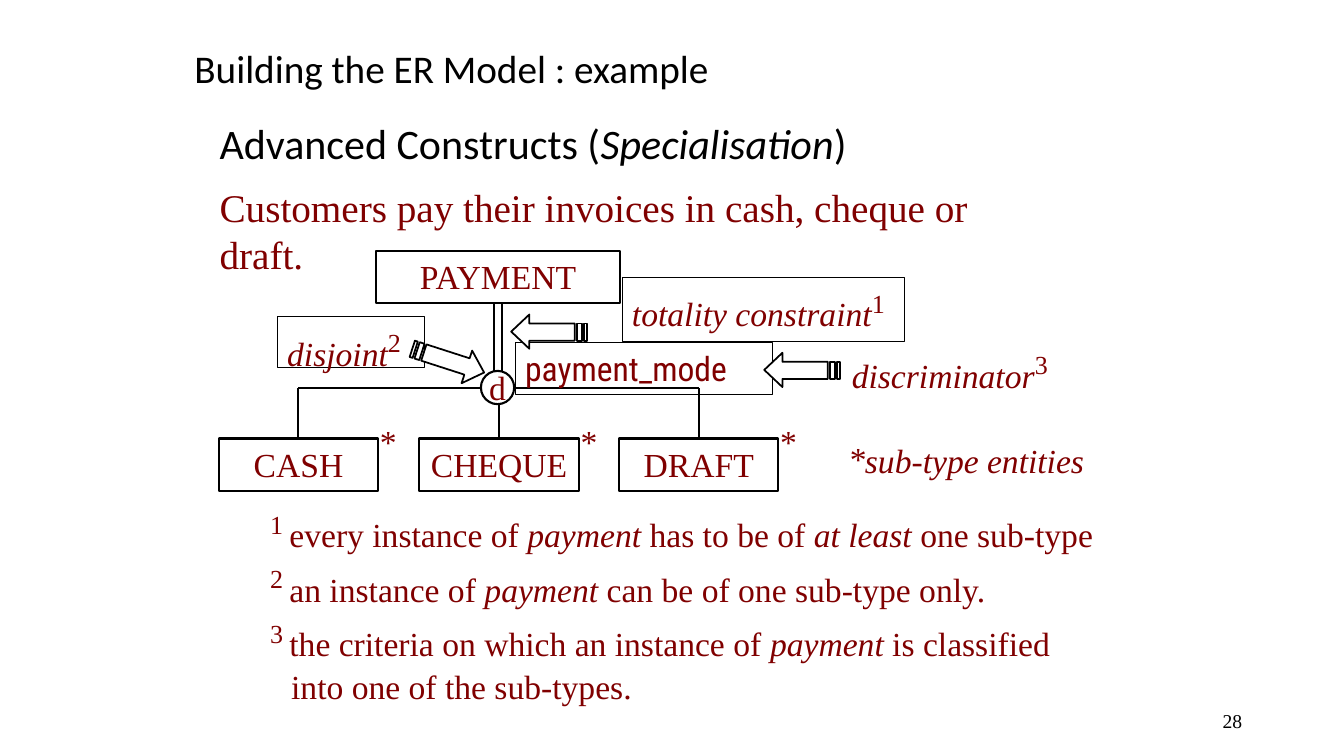
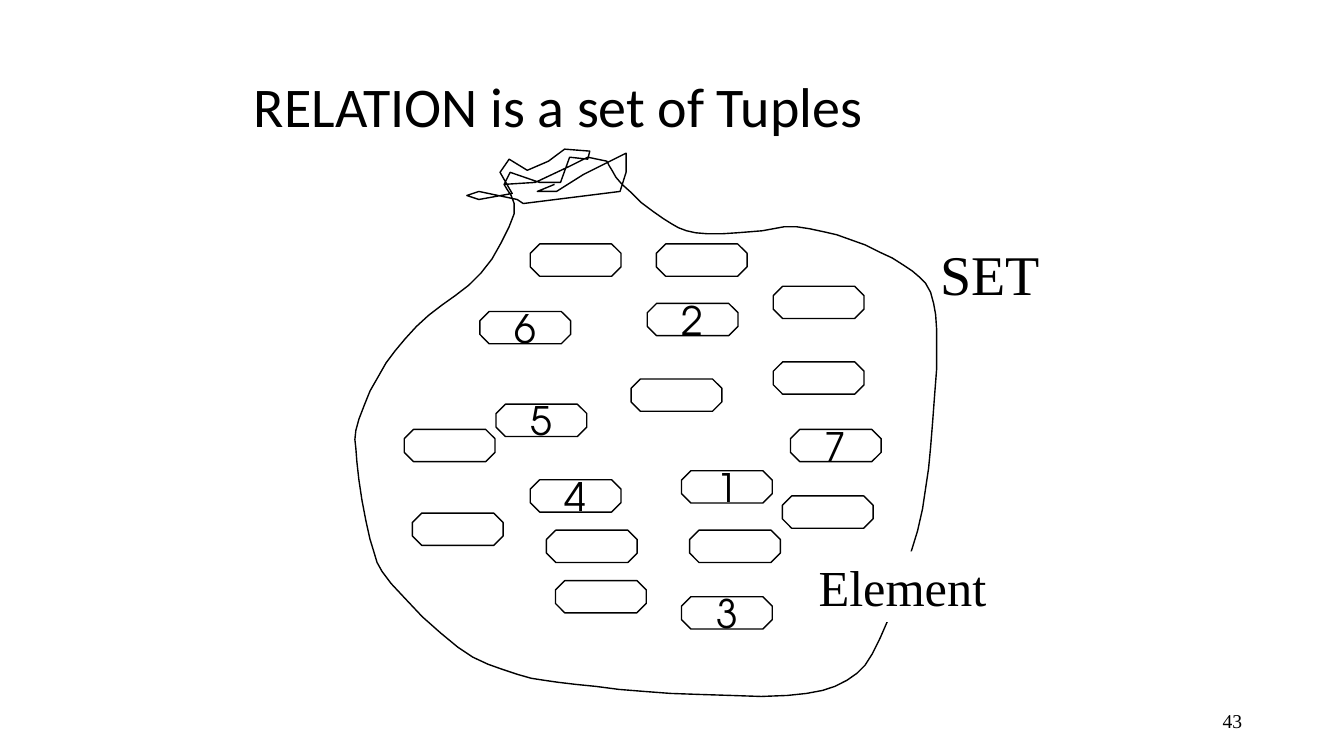
from pptx import Presentation
from pptx.dml.color import RGBColor
from pptx.enum.shapes import MSO_CONNECTOR as LINK, MSO_SHAPE as KIND
from pptx.enum.text import MSO_ANCHOR as ANCHOR, PP_ALIGN as ALIGN
from pptx.oxml.ns import qn
from pptx.util import Pt
from lxml import etree

PX = 9144  # 100 px to the inch
BLACK = RGBColor(0x00, 0x00, 0x00)
WHITE = RGBColor(0xFF, 0xFF, 0xFF)
MAROON = RGBColor(0x80, 0x00, 0x00)
SERIF, SANS = "Times New Roman", "Calibri"
MONO, ROUND = "Roboto Condensed", "TeX Gyre Adventor"


def put(slide, box, runs=(), size=24, color=MAROON, face=SERIF, kind=None,
        edge=None, fill=None, align=ALIGN.LEFT, anchor=ANCHOR.TOP,
        wrap=True, space=None, hang=0):
    """Add a text box or shape; a run is text or (text, "i" or "^")."""
    box = [v * PX for v in box]
    if kind is None:
        shape = slide.shapes.add_textbox(*box)
    else:
        shape = slide.shapes.add_shape(kind, *box)
        shape.shadow.inherit = False
        if fill is None:
            shape.fill.background()
        else:
            shape.fill.solid()
            shape.fill.fore_color.rgb = fill
        if edge is None:
            shape.line.fill.background()
        else:
            shape.line.color.rgb = BLACK
            shape.line.width = Pt(edge)
    frame = shape.text_frame
    frame.word_wrap = wrap
    frame.vertical_anchor = anchor
    para = frame.paragraphs[0]
    para.alignment = align
    if space:
        para.line_spacing = space
    if hang:
        props = para._p.get_or_add_pPr()
        props.set("marL", str(hang * PX))
        props.set("indent", str(-hang * PX))
    for item in runs:
        text, mark = (item, "") if isinstance(item, str) else item
        run = para.add_run()
        run.text = text
        run.font.name = face
        run.font.size = Pt(32 if mark == "^" else size)
        run.font.color.rgb = color
        run.font.italic = mark == "i"
        if mark == "^":
            run._r.get_or_add_rPr().set("baseline", "30000")
    return shape


def draw(slide, loops, width, fill=None, closed=True):
    """Draw one outline made of one or more loops of points."""
    pen = None
    for loop in loops:
        if pen is None:
            pen = slide.shapes.build_freeform(*loop[0], scale=PX)
        else:
            pen.move_to(*loop[0])
        pen.add_line_segments(loop[1:], close=closed)
    shape = pen.convert_to_shape()
    shape.shadow.inherit = False
    if fill is None:
        shape.fill.background()
    else:
        shape.fill.solid()
        shape.fill.fore_color.rgb = fill
    shape.line.color.rgb = BLACK
    shape.line.width = Pt(width)
    return shape


deck = Presentation()
deck.slide_width, deck.slide_height = 1333 * PX, 750 * PX

# Titles and page numbers
heads = [
    ("Building the ER Model : example", (183, 8, 942, 125), 28, "28"),
    ("RELATION is a set of Tuples", (242, 67, 850, 83), 40, "43"),
]
pages = []
for title, box, size, number in heads:
    page = deck.slides.add_slide(deck.slide_layouts[6])
    put(page, box, [title], size, BLACK, SANS, anchor=ANCHOR.MIDDLE, space=0.9)
    put(page, (942, 695, 300, 40), [number], 14, BLACK,
        align=ALIGN.RIGHT, anchor=ANCHOR.MIDDLE)
    pages.append(page)
model, bag = pages

# Slide 1: headings
put(model, (208, 117, 858, 58),
    ["Advanced Constructs (", ("Specialisation", "i"), ")"],
    30, BLACK, SANS, space=0.9)
put(model, (208, 177, 850, 57),
    ["Customers pay their invoices in cash, cheque or draft."], 28)

# Entities, each sub-type with its star
put(model, (373, 249, 242, 52), ["PAYMENT"], kind=KIND.RECTANGLE,
    edge=1.5, align=ALIGN.CENTER)
put(model, (477, 368, 33, 33), ["d"], kind=KIND.OVAL, edge=1.5,
    align=ALIGN.CENTER, anchor=ANCHOR.MIDDLE, wrap=False)
wires = [
    (490, 302, 490, 368, None), (498, 302, 498, 368, None),
    (510, 385, 693, 385, None), (296, 385, 478, 385, None),
]
for name, left, start in [("CASH", 217, 385), ("CHEQUE", 416, 402),
                          ("DRAFT", 614, 385)]:
    entity = put(model, (left, 435, 158, 52), [name], kind=KIND.RECTANGLE,
                 edge=1.5, align=ALIGN.CENTER)
    put(model, (left + 150, 413, 33, 50), ["*"])
    mid = left + 79
    wires.append((mid, start, mid, 435, entity))

# Connecting lines
for x1, y1, x2, y2, entity in wires:
    wire = model.shapes.add_connector(
        LINK.STRAIGHT, x1 * PX, y1 * PX, x2 * PX, y2 * PX)
    wire.line.color.rgb = BLACK
    wire.line.width = Pt(1.5)
    etree.SubElement(wire._element.spPr, qn("a:effectLst"))
    if entity is not None:
        wire.end_connect(entity, 0)

# Labels
put(model, (511, 340, 255, 51), ["payment_mode"], face=MONO,
    kind=KIND.RECTANGLE, edge=0.75)
for text, note, box, kind in [
    ("totality constraint", "1", (617, 275, 280, 64), KIND.RECTANGLE),
    ("disjoint", "2", (275, 314, 146, 51), KIND.RECTANGLE),
    ("discriminator", "3", (835, 336, 280, 50), None),
]:
    put(model, box, [(text, "i"), (note, "^")], kind=kind, edge=0.75)
put(model, (833, 430, 33, 50), ["*"])
put(model, (848, 432, 242, 50), [("sub-type entities", "i")])

# Striped arrows: a head with its shaft, then two bars
arrow = [[(18, 0), (18, 9), (63, 9), (63, 26), (18, 26), (18, 34), (0, 17)]]
for near, far in [(65, 70), (72, 75)]:
    arrow.append([(far, 9), (far, 26), (near, 26), (near, 9)])
for left, top, turn in [(507, 312, 0), (407, 341, 197.9), (758, 350, 0)]:
    loops = [[(left + x, top + y) for x, y in loop] for loop in arrow]
    draw(model, loops, 1.25, WHITE).rotation = turn

# Footnotes
notes = [
    ["every instance of ", ("payment", "i"), " has to be of ",
     ("at least", "i"), " one sub-type"],
    ["an instance of ", ("payment", "i"), " can be of one sub-type only."],
    ["the criteria on which an instance of ", ("payment", "i"),
     " is classified into one of the sub-types."],
]
for i, runs in enumerate(notes):
    put(model, (258, 494 + 54 * i, 850, 91 if i == 2 else 50),
        [(f"{i + 1} ", "^")] + runs, hang=21 if i == 2 else 0)

# Slide 2: the bag, curved through a few points, then its knot
body = [
    (500, 183), (510, 212), (477, 271), (425, 313), (383, 360), (356, 416),
    (354, 458), (367, 535), (388, 579), (454, 642), (513, 669), (571, 679),
    (665, 688), (781, 690), (840, 675), (873, 633), (910, 527), (923, 444),
    (929, 344), (923, 290), (896, 263), (844, 238), (790, 225), (744, 230),
    (690, 231), (658, 217), (617, 183), (602, 160),
]
knot = [
    (583, 156), (565, 165), (531, 181), (500, 183), (506, 171), (535, 181),
    (556, 181), (565, 156), (583, 158), (585, 150), (560, 148), (544, 160),
    (523, 169), (505, 158), (496, 171), (508, 192), (475, 198), (463, 194),
    (475, 190), (513, 198), (519, 202), (615, 190), (621, 171), (621, 152),
    (579, 173), (552, 190), (533, 190), (550, 183),
]
ends = body[:1] + body + body[-1:]
curve = []
for a, b, c, d in zip(ends, ends[1:], ends[2:], ends[3:]):
    for t in (0, 0.25, 0.5, 0.75):
        curve.append([
            round(q + t * (r - p + t * (2 * p - 5 * q + 4 * r - s
                                        + t * (3 * q - p - 3 * r + s))) / 2)
            for p, q, r, s in zip(a, b, c, d)])
draw(bag, [curve + body[-1:] + knot], 1, closed=False)

# Tuples in the bag
tuples = [
    (676, 467, "1"), (676, 592, "3"), (526, 476, "4"), (492, 401, "5"),
    (476, 309, "6"), (767, 359, ""), (642, 301, "2"), (784, 426, "7"),
    (542, 526, ""), (626, 376, ""), (776, 492, ""), (401, 426, ""),
    (409, 509, ""), (551, 576, ""), (684, 526, ""), (767, 284, ""),
    (651, 242, ""), (526, 242, ""),
]
for left, top, digit in tuples:
    chip = put(bag, (left, top, 90, 32), [digit] if digit else [], 28, BLACK,
               ROUND, KIND.OCTAGON, 1, WHITE, ALIGN.CENTER, ANCHOR.MIDDLE,
               wrap=False)
    chip.adjustments[0] = 0.29

# Labels of the bag
put(bag, (923, 233, 120, 77), ["SET"], 40, BLACK, wrap=False)
put(bag, (802, 547, 187, 70), ["Element"], 36, BLACK,
    kind=KIND.RECTANGLE, fill=WHITE)

deck.save("out.pptx")
